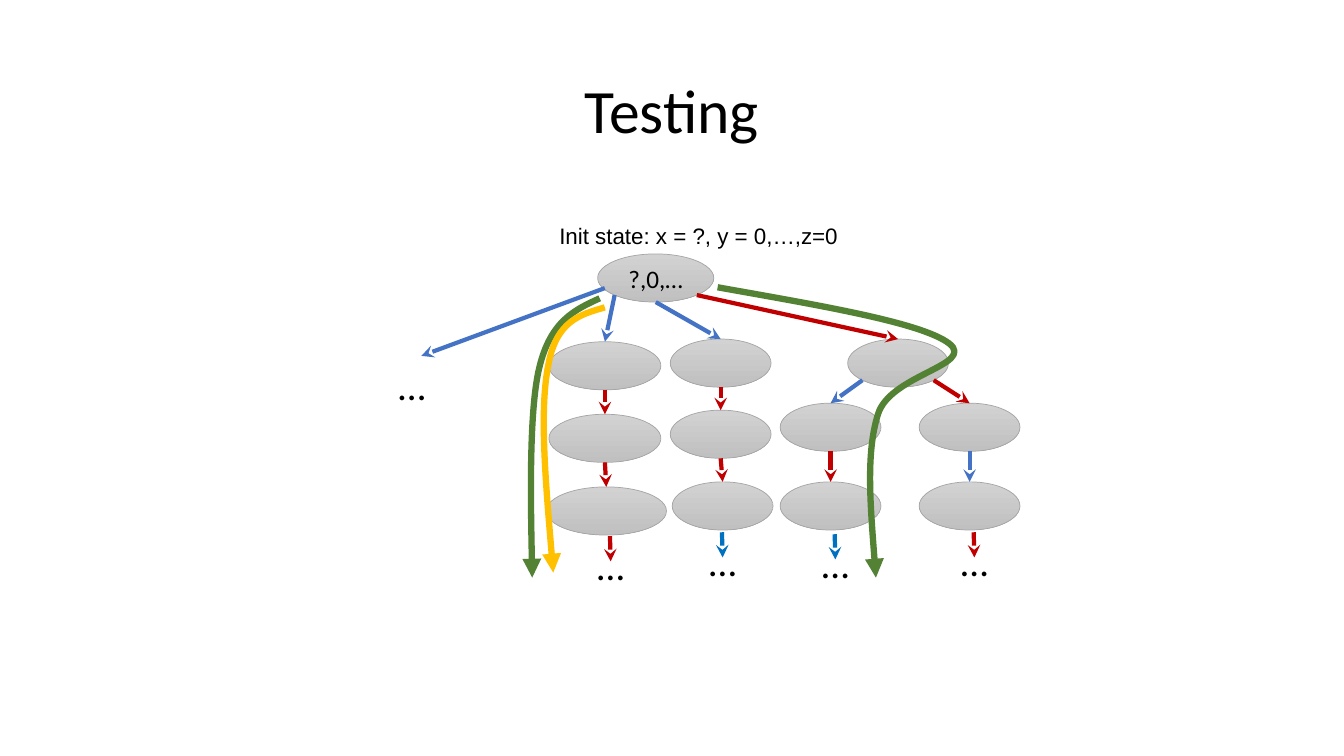
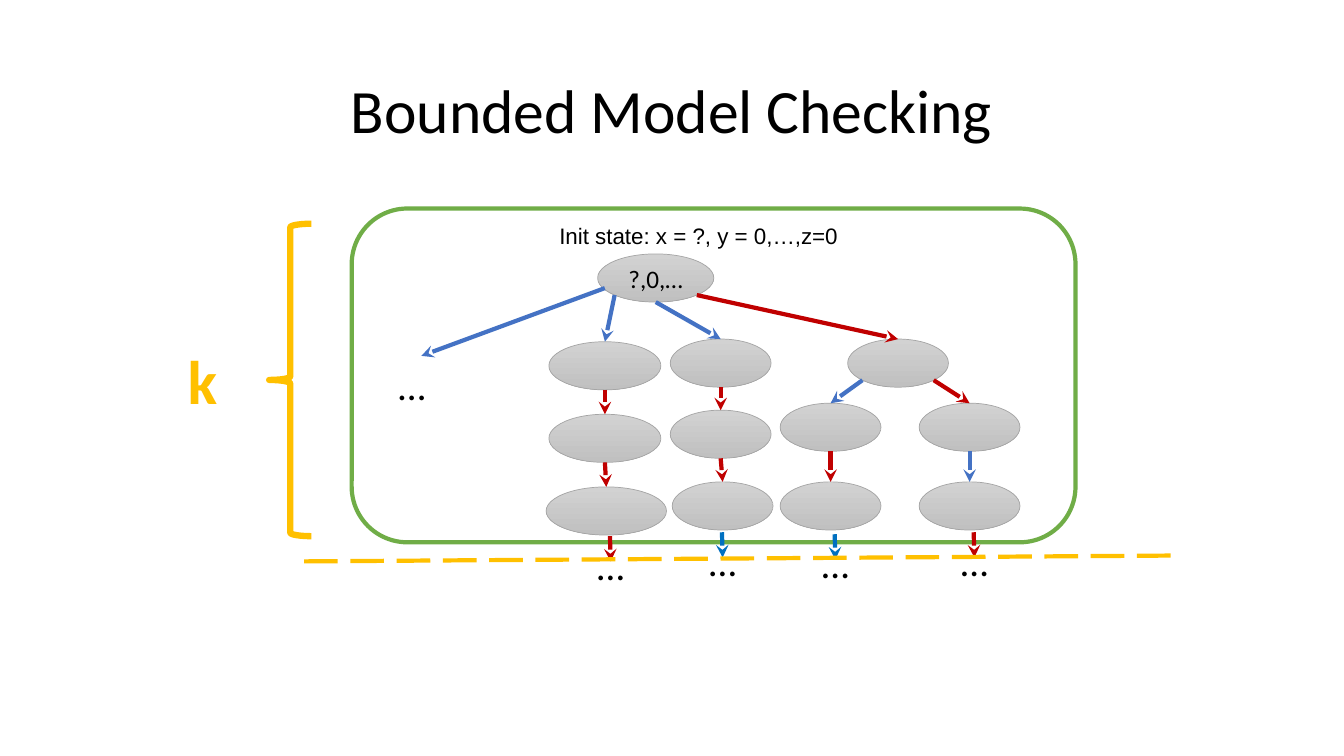
from lxml import etree
from pptx import Presentation
from pptx.dml.color import RGBColor
from pptx.enum import dml, shapes, text
from pptx.oxml import ns
from pptx.util import Pt

HUES = {
    "ink": "000000", "paper": "FFFFFF", "light": "D2D2D2", "dark": "C0C0C0",
    "edge": "A5A5A5", "blue": "4472C4", "sky": "0070C0", "red": "C00000",
    "gold": "FFC000", "leaf": "70AD47", "moss": "548235",
}
KIND = shapes.MSO_SHAPE
HIGH = 34.4  # height of every state
DIAG = 0.7071  # place of an ellipse's diagonal sites

# name: middle, top, width
NODES = {
    "root": (191.2, 26.6, 83),
    "a1": (154.9, 89.3, 80), "a2": (154.9, 141.1, 80), "a3": (155.9, 193, 86),
    "b1": (237.6, 87.4, 72), "b2": (237.6, 138.2, 72), "b3": (239, 189.4, 72),
    "c1": (364.3, 87.4, 72),
    "d1": (316.1, 133.2, 72), "d2": (316.1, 189.4, 72),
    "e1": (415.4, 133.2, 72), "e2": (415.4, 189.4, 72),
}
# ellipse sites: 3 lower left, 4 bottom, 5 lower right
SIDES = {3: -1, 4: 0, 5: 1}
LINKS = [
    ("root", 3, "a1", "blue"), ("root", 4, "b1", "blue"),
    ("root", 5, "c1", "red"),
    ("a1", 4, "a2", "red"), ("a2", 4, "a3", "red"),
    ("b1", 4, "b2", "red"), ("b2", 4, "b3", "red"),
    ("c1", 3, "d1", "blue"), ("c1", 5, "e1", "red"),
    ("d1", 4, "d2", "red"), ("e1", 4, "e2", "blue"),
]
# middle, top, colour of the arrow into the dots
ENDS = [(159, 228.2, "red"), (239, 225.4, "sky"),
        (319.5, 226.8, "sky"), (418.8, 225.4, "red")]
# start point, then three points for each curve
RUNS = [
    ("moss", [(151.2, 58.3), (134, 66.2), (116, 74.2), (108, 108),
              (100, 141), (103, 257.8), (103, 257.8)]),
    ("moss", [(235.4, 50.4), (308.2, 63.4), (381.6, 75.6), (401, 90.7),
              (419.8, 105.8), (358.6, 113), (350, 141),
              (341.3, 168.5), (345, 213), (348.5, 257.8)]),
    ("gold", [(154.8, 64.8), (137.5, 69.8), (120.2, 74.2), (114.5, 105.8),
              (108, 137.5), (113, 195.8), (118, 254.2)]),
]


def hue(name):
    return RGBColor.from_string(HUES[name])


def write(para, words, size, color="ink", face="Calibri", bold=False):
    run = para.add_run()
    run.text = words
    font = run.font
    font.size, font.name, font.bold = Pt(size), face, bold
    font.color.rgb = hue(color)


def label(slide, box, words, size, align=text.PP_ALIGN.CENTER, **style):
    frame = slide.shapes.add_textbox(*map(Pt, box)).text_frame
    frame.word_wrap = False
    frame.auto_size = text.MSO_AUTO_SIZE.SHAPE_TO_FIT_TEXT
    frame.paragraphs[0].alignment = align
    write(frame.paragraphs[0], words, size, **style)


def stroke(item, color, width, tip=None):
    item.line.color.rgb = hue(color)
    item.line.width = Pt(width)
    if tip:
        line = item._element.spPr.get_or_add_ln()
        etree.SubElement(line, ns.qn("a:tailEnd"), type=tip)


def shape(slide, kind, box, color, width):
    item = slide.shapes.add_shape(kind, *map(Pt, box))
    item.shadow.inherit = False
    item.fill.background()
    stroke(item, color, width)
    return item


def wire(slide, start, end, color, tip="stealth"):
    line = slide.shapes.add_connector(
        shapes.MSO_CONNECTOR.STRAIGHT, *map(Pt, (*start, *end)))
    stroke(line, color, 3, tip)
    etree.SubElement(line._element.spPr, ns.qn("a:effectLst"))
    return line


def state(slide, x, y, wide):
    item = shape(slide, KIND.OVAL, (x - wide / 2, y, wide, HIGH), "edge", 0.5)
    item.fill.gradient()
    item.fill.gradient_angle = 270
    for stop, name in zip(item.fill.gradient_stops, ("light", "dark")):
        stop.color.rgb = hue(name)
    return item


def link(slide, items, left, top, source, site, target, color):
    x, y, wide = NODES[source]
    side = SIDES[site]
    drop = DIAG if side else 1
    start = (left + x + side * DIAG * wide / 2, top + y + HIGH / 2 * (1 + drop))
    goal = NODES[target]
    line = wire(slide, start, (left + goal[0], top + goal[1]), color)
    # Ellipses have eight sites, so the start site is set by hand
    line.begin_connect(items[source], 0)
    line._element.nvCxnSpPr.cNvCxnSpPr.stCxn.set("idx", str(site))
    line.begin_x, line.begin_y = map(Pt, start)
    line.end_connect(items[target], 0)


def tree(slide, left, top):
    # States
    items = {name: state(slide, left + x, top + y, wide)
             for name, (x, y, wide) in NODES.items()}
    frame = items["root"].text_frame
    frame.word_wrap = False
    frame.vertical_anchor = text.MSO_ANCHOR.MIDDLE
    frame.paragraphs[0].alignment = text.PP_ALIGN.CENTER
    write(frame.paragraphs[0], "?,0,…", 18)
    label(slide, (left + 115.2, top, 216.7, 26.6),
          "Init state: x = ?, y = 0,…,z=0", 16,
          align=text.PP_ALIGN.LEFT, face="Arial")
    # Steps
    for step in LINKS:
        link(slide, items, left, top, *step)
    wire(slide, (left + 154.8, top + 51), (left + 23.8, top + 99.4), "blue")
    # Open ends
    for x, y, color in ENDS:
        wire(slide, (left + x - 0.5, top + y), (left + x, top + y + 18), color)
    for x, y in [(17, 99.4)] + [end[:2] for end in ENDS]:
        label(slide, (left + x - 17, top + y, 34, 41), "…", 28)


def curve(slide, left, top, color, points):
    spots = [(Pt(left + x), Pt(top + y)) for x, y in points]
    pen = slide.shapes.build_freeform(*spots[0])
    pen.add_line_segments(spots[1:], close=False)
    item = pen.convert_to_shape()
    item.shadow.inherit = False
    item.fill.background()
    stroke(item, color, 4.5, "triangle")
    # Turn each three straight pieces into one curve
    trail = next(item._element.iter(ns.qn("a:path")))
    legs = trail.findall(ns.qn("a:lnTo"))
    for k in range(0, len(legs), 3):
        bend = etree.SubElement(trail, ns.qn("a:cubicBezTo"))
        for leg in legs[k:k + 3]:
            bend.append(leg[0])
            trail.remove(leg)


def page(deck, title):
    slide = deck.slides.add_slide(deck.slide_layouts[5])
    head = slide.shapes.title
    head.left, head.top, head.width, head.height = map(Pt, (66, 29, 828, 104))
    head.text_frame.vertical_anchor = text.MSO_ANCHOR.MIDDLE
    para = head.text_frame.paragraphs[0]
    para.alignment, para.line_spacing = text.PP_ALIGN.CENTER, 0.9
    write(para, title, 44)
    return slide


def testing(deck, left, top):
    slide = page(deck, "Testing")
    tree(slide, left, top)
    for color, points in RUNS:
        curve(slide, left, top, color, points)


def bounded(deck, left, top):
    slide = page(deck, "Bounded Model Checking")
    # Frame behind the tree
    frame = shape(slide, KIND.ROUNDED_RECTANGLE,
                  (left - 26, top - 5.8, 517, 238.4), "leaf", 3)
    frame.fill.solid()
    frame.fill.fore_color.rgb = hue("paper")
    tree(slide, left, top)
    # Depth bound
    bound = wire(slide, (left - 60, top + 246.2), (left + 564.5, top + 242),
                 "gold", tip=None)
    bound.line.dash_style = dml.MSO_LINE.LONG_DASH
    brace = shape(slide, KIND.RIGHT_BRACE,
                  (left - 85, top + 5, 30.2, 223.2), "gold", 4.5)
    brace.rotation = 180
    label(slide, (left - 150.5, top + 86.4, 36, 60.5), "k", 44,
          color="gold", bold=True)


def main():
    deck = Presentation()
    deck.slide_width, deck.slide_height = Pt(960), Pt(540)
    for build in (testing, bounded):
        build(deck, 277.2, 154.8)
    deck.save("out.pptx")


if __name__ == "__main__":
    main()
